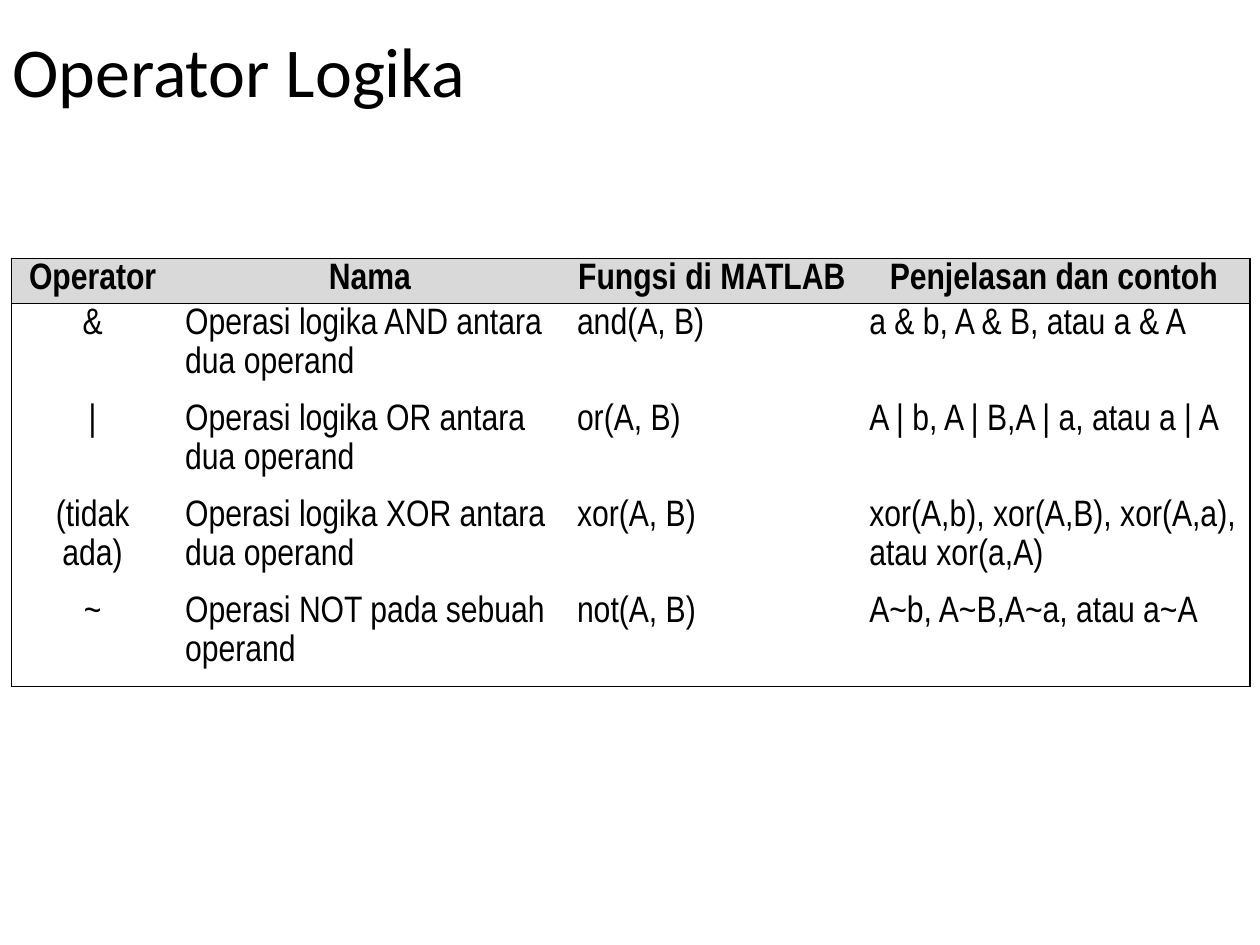
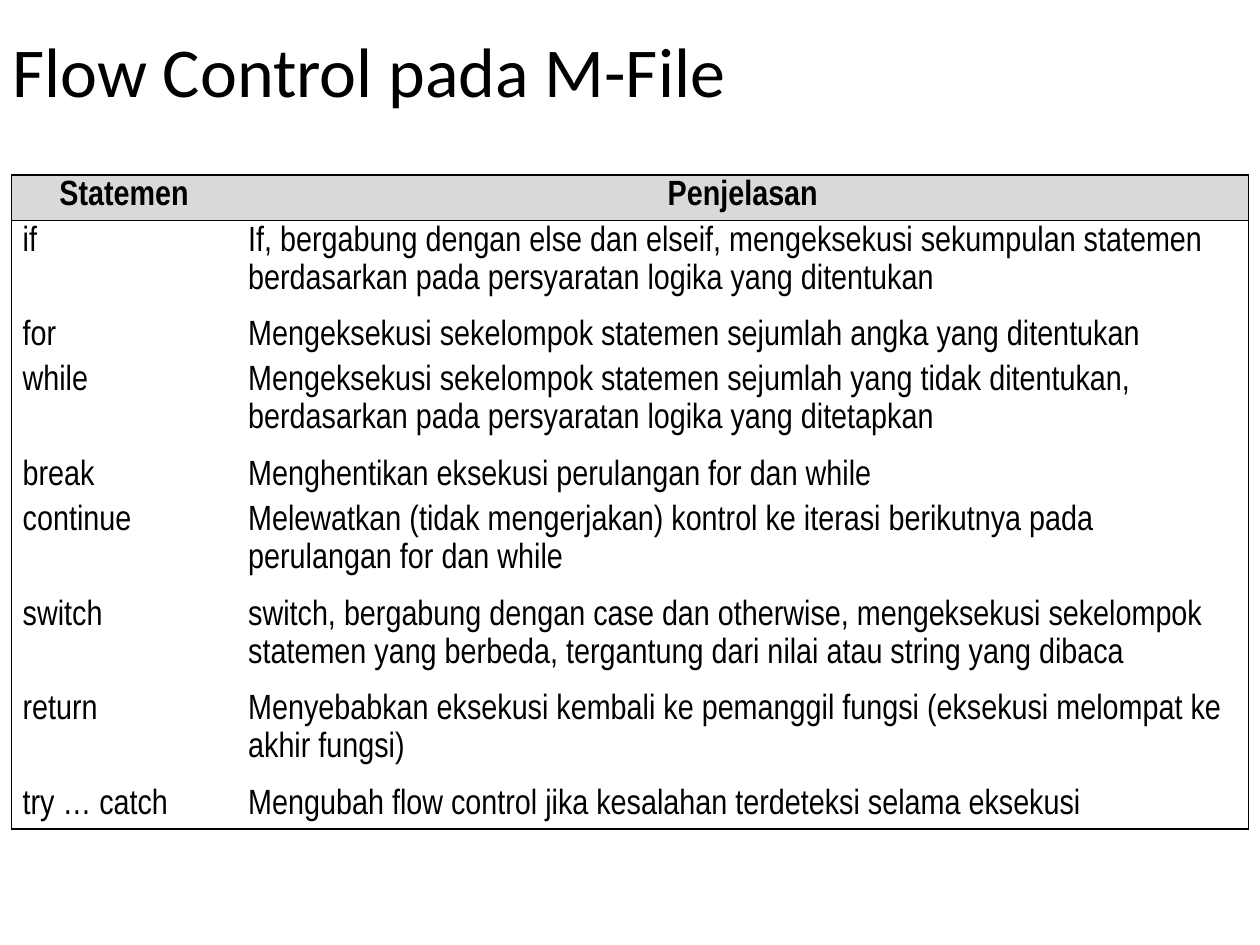
from dataclasses import dataclass

from lxml.etree import SubElement
from pptx import Presentation
from pptx.dml.color import RGBColor
from pptx.enum.text import MSO_ANCHOR, PP_ALIGN
from pptx.oxml.ns import qn
from pptx.util import Inches, Pt


@dataclass(frozen=True)
class Theme:
    ink: str = "000000"
    header_fill: str = "D9D9D9"
    title_font: str = "Calibri"
    table_font: str = "Arial Narrow"
    title_size: float = 40
    border_width: float = 1
    table_left: float = 0.09
    cell_inset: float = 0.09
    plain_style: str = "{2D5ABB26-0587-4C30-8999-92F81FD0307C}"


THEME = Theme()

OPERATORS = [
    ("Operator", "Nama", "Fungsi di MATLAB", "Penjelasan dan contoh"),
    ("&", "Operasi logika AND antara dua operand", "and(A, B)",
     "a & b, A & B, atau a & A"),
    ("|", "Operasi logika OR antara dua operand", "or(A, B)",
     "A | b, A | B,A | a, atau a | A"),
    ("(tidak ada)", "Operasi logika XOR antara dua operand", "xor(A, B)",
     "xor(A,b), xor(A,B), xor(A,a), atau xor(a,A)"),
    ("~", "Operasi NOT pada sebuah operand", "not(A, B)",
     "A~b, A~B,A~a, atau a~A"),
]

STATEMENTS = [
    ("Statemen", "Penjelasan"),
    ("if", "If, bergabung dengan else dan elseif, mengeksekusi sekumpulan "
           "statemen berdasarkan pada persyaratan logika yang ditentukan"),
    ("for", "Mengeksekusi sekelompok statemen sejumlah angka yang ditentukan"),
    ("while", "Mengeksekusi sekelompok statemen sejumlah yang tidak ditentukan, "
              "berdasarkan pada persyaratan logika yang ditetapkan"),
    ("break", "Menghentikan eksekusi perulangan for dan while"),
    ("continue", "Melewatkan (tidak mengerjakan) kontrol ke iterasi berikutnya "
                 "pada perulangan for dan while"),
    ("switch", "switch, bergabung dengan case dan otherwise, mengeksekusi "
               "sekelompok statemen yang berbeda, tergantung dari nilai atau "
               "string yang dibaca"),
    ("return", "Menyebabkan eksekusi kembali ke pemanggil fungsi "
               "(eksekusi melompat ke akhir fungsi)"),
    ("try … catch", "Mengubah flow control jika kesalahan terdeteksi selama "
                    "eksekusi"),
]


def set_attrs(obj, **values):
    for name, value in values.items():
        setattr(obj, name, value)


def write(tf, text, font, paragraph):
    p = tf.paragraphs[0]
    set_attrs(p, **paragraph)
    r = p.add_run()
    r.text = text
    set_attrs(r.font, **font)
    r.font.color.rgb = RGBColor.from_string(THEME.ink)


def add_title(slide, text):
    box = slide.shapes.add_textbox(0, Inches(0.19), Inches(10), Inches(0.81))
    tf = box.text_frame
    set_attrs(tf, word_wrap=True, vertical_anchor=MSO_ANCHOR.MIDDLE)
    write(tf, text, {"name": THEME.title_font, "size": Pt(THEME.title_size)},
          {"line_spacing": 0.9})


def add_borders(cell, edges):
    tcPr = cell._tc.get_or_add_tcPr()
    for side, shown in edges.items():
        ln = SubElement(tcPr, qn(f"a:ln{side}"), w=str(Pt(THEME.border_width)))
        if shown:
            fill = SubElement(ln, qn("a:solidFill"))
            SubElement(fill, qn("a:srgbClr"), val=THEME.ink)
        else:
            SubElement(ln, qn("a:noFill"))


def fill_cell(cell, text, size, leading, header, centered):
    inset = Inches(THEME.cell_inset)
    set_attrs(cell, margin_left=inset, margin_right=inset,
              margin_top=0, margin_bottom=0)
    if header:
        cell.fill.solid()
        cell.fill.fore_color.rgb = RGBColor.from_string(THEME.header_fill)
    else:
        cell.fill.background()
    write(cell.text_frame, text,
          {"name": THEME.table_font, "size": Pt(size), "bold": header},
          {"alignment": PP_ALIGN.CENTER if centered else PP_ALIGN.LEFT,
           "line_spacing": Pt(leading), "space_after": Pt(0.6)})


def add_framed_table(slide, rows, top, widths, heights, size, leading,
                     center_first=False):
    frame = slide.shapes.add_table(
        len(rows), len(widths), Inches(THEME.table_left), Inches(top),
        Inches(sum(widths)), Inches(sum(heights)))
    table = frame.table
    set_attrs(table, first_row=False, horz_banding=False)
    table._tbl.tblPr.find(qn("a:tableStyleId")).text = THEME.plain_style
    for col, width in zip(table.columns, widths):
        col.width = Inches(width)
    for row, height in zip(table.rows, heights):
        row.height = Inches(height)

    last_row, last_col = len(rows) - 1, len(widths) - 1
    for i, row in enumerate(rows):
        for j, text in enumerate(row):
            cell = table.cell(i, j)
            add_borders(cell, {"L": j == 0, "R": j == last_col,
                               "T": i <= 1, "B": i in (0, last_row)})
            fill_cell(cell, text, size, leading, header=i == 0,
                      centered=i == 0 or (center_first and j == 0))


def main():
    prs = Presentation()
    set_attrs(prs, slide_width=Inches(10), slide_height=Inches(7.5))
    blank = prs.slide_layouts[6]

    slide = prs.slides.add_slide(blank)
    add_title(slide, "Operator Logika")
    add_framed_table(slide, OPERATORS, top=2.05, widths=[1.29, 3.11, 2.32, 3.11],
                     heights=[0.36] + [0.76] * 4, size=21, leading=22.3,
                     center_first=True)

    slide = prs.slides.add_slide(blank)
    add_title(slide, "Flow Control pada M-File")
    one_line, two_lines = 0.36, 0.75
    heights = [one_line, two_lines] * 3 + [two_lines] * 2 + [one_line]
    add_framed_table(slide, STATEMENTS, top=1.39, widths=[1.79, 8.03],
                     heights=heights, size=20, leading=21.7)

    prs.save("out.pptx")


if __name__ == "__main__":
    main()
